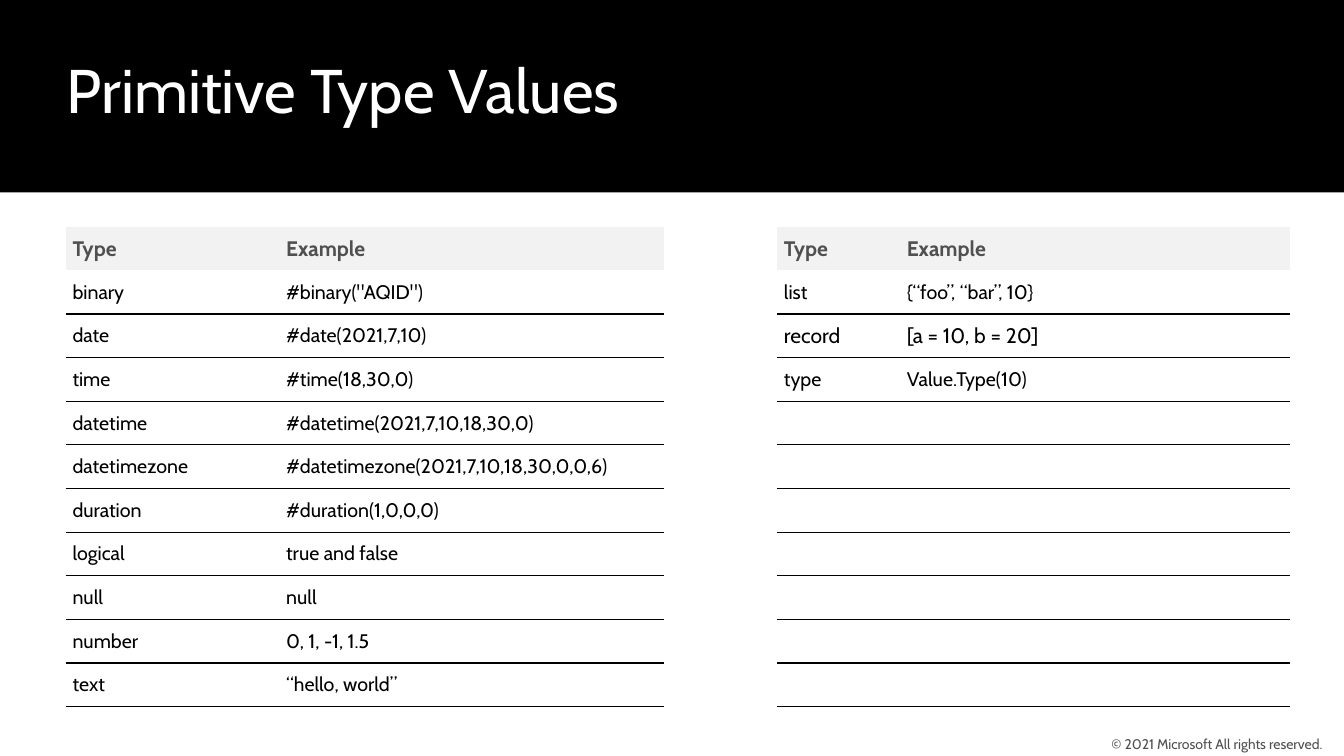
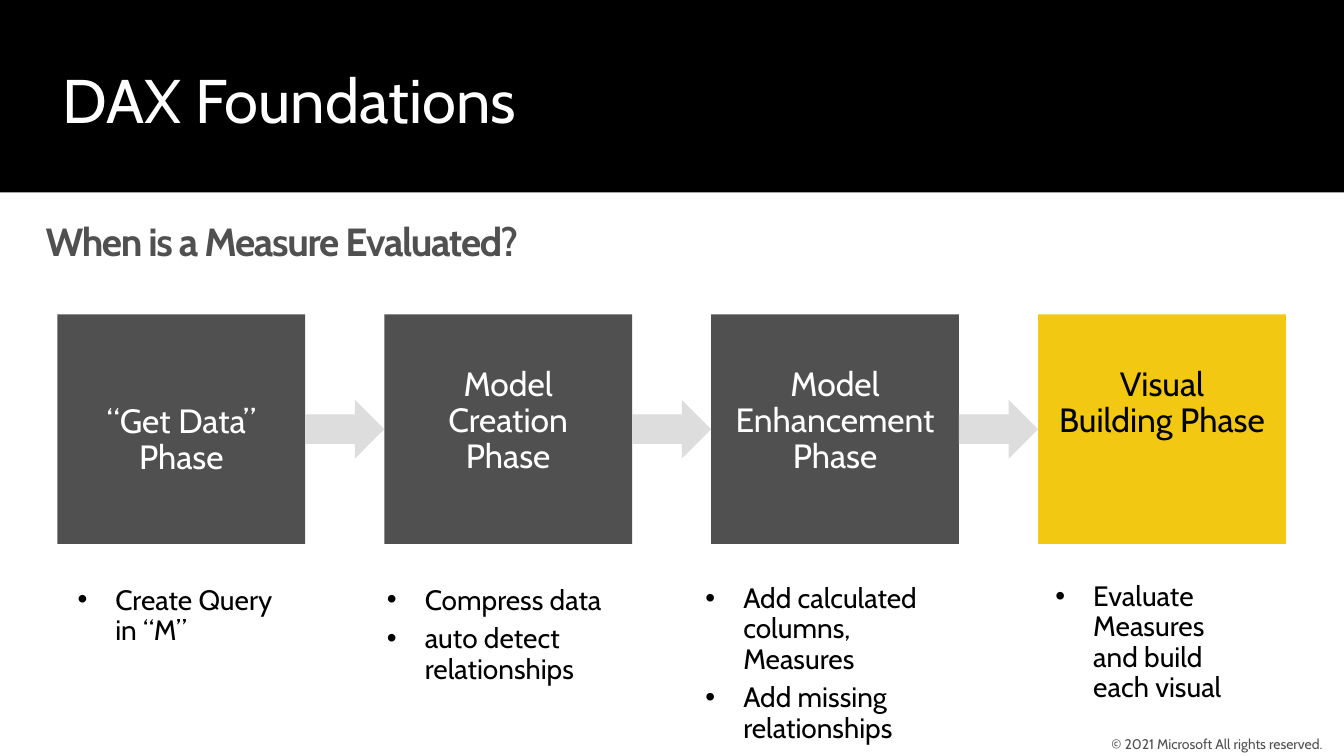
from lxml import etree
from pptx import Presentation
from pptx.dml.color import RGBColor
from pptx.enum import shapes, text
from pptx.oxml import ns
from pptx.util import Pt

FONT = "Cabin"
COLORS = {
    "black": "000000",
    "white": "FFFFFF",
    "gray": "505050",
    "header": "F2F2F2",
    "yellow": "F2C812",
    "arrow": "DDDDDD",
}
SLIDE_WIDTH, SLIDE_HEIGHT = 960, 540
NO_STYLE = "{2D5ABB26-0587-4C30-8999-92F81FD0307C}"
LEFT, CENTER = text.PP_ALIGN.LEFT, text.PP_ALIGN.CENTER
TITLE_INSETS = (11.5, 7.2, 11.5, 7.2)
BODY_INSETS = (14.4, 11.5, 14.4, 11.5)

TYPE_COLUMNS = (152.6, 275, 80.6, 87.8, 278.6)
GAP_COLUMN = 2
LEFT_TYPES = [
    ("Type", "Example"),
    ("binary", '#binary("AQID")'),
    ("date", "#date(2021,7,10)"),
    ("time", "#time(18,30,0)"),
    ("datetime", "#datetime(2021,7,10,18,30,0)"),
    ("datetimezone", "#datetimezone(2021,7,10,18,30,0,0,6)"),
    ("duration", "#duration(1,0,0,0)"),
    ("logical", "true and false"),
    ("null", "null"),
    ("number", "0, 1, -1, 1.5"),
    ("text", "“hello, world”"),
]
RIGHT_TYPES = [
    ("Type", "Example"),
    ("list", "{“foo”, “bar”, 10}"),
    ("record", "[a = 10, b = 20]"),
    ("type", "Value.Type(10)"),
]
LARGE_CELLS = {"record", "[a = 10, b = 20]"}

PHASES = [
    (["“Get Data” Phase"], 2, "gray", "white"),
    (["Model Creation Phase"], 1, "gray", "white"),
    (["Model", "Enhancement", "Phase"], 1, "gray", "white"),
    (["Visual", "Building Phase"], 1, "yellow", "black"),
]
PHASE_NOTES = [
    ((41, 407, 177, 67), ["Create Query in “M”"]),
    ((262, 407, 189.5, 95), ["Compress data", "auto detect relationships"]),
    ((489.5, 406, 195, 133), ["Add calculated columns, Measures", "Add missing relationships"]),
    ((739.5, 404.5, 169, 110), ["Evaluate Measures and build each visual"]),
]


def color(name):
    return RGBColor.from_string(COLORS[name])


def points(box):
    return [Pt(value) for value in box]


def set_insets(target, insets):
    (target.margin_left, target.margin_top,
     target.margin_right, target.margin_bottom) = points(insets)


def add_run(paragraph, words, size, color_name, bold=False):
    run = paragraph.add_run()
    run.text = words
    run.font.name = FONT
    run.font.size = Pt(size)
    run.font.bold = bold
    run.font.color.rgb = color(color_name)
    return run


def write(frame, lines, size, color_name, insets, align=LEFT, spacing=None,
          after=0, bullet=False, bold=False, anchor=text.MSO_ANCHOR.TOP):
    frame.word_wrap = True
    frame.auto_size = text.MSO_AUTO_SIZE.NONE
    frame.vertical_anchor = anchor
    set_insets(frame, insets)
    for index, line in enumerate(lines):
        paragraph = frame.add_paragraph() if index else frame.paragraphs[0]
        if bullet:
            add_bullet(paragraph)
        paragraph.alignment = align
        paragraph.line_spacing = spacing
        paragraph.space_after = Pt(after)
        add_run(paragraph, line, size, color_name, bold)


def add_bullet(paragraph):
    properties = paragraph._p.get_or_add_pPr()
    properties.set("marL", str(Pt(27)))
    properties.set("indent", str(-Pt(27)))
    etree.SubElement(properties, ns.qn("a:buFont"), typeface="Arial")
    etree.SubElement(properties, ns.qn("a:buChar"), char="•")


def add_block(slide, kind, box, fill):
    shape = slide.shapes.add_shape(kind, *points(box))
    shape.shadow.inherit = False
    shape.fill.solid()
    shape.fill.fore_color.rgb = color(fill)
    shape.line.fill.background()
    return shape


def add_text(slide, box, lines, size, color_name, insets, **style):
    shape = slide.shapes.add_textbox(*points(box))
    write(shape.text_frame, lines, size, color_name, insets, **style)


def place_title(slide, box, words, size, color_name, **style):
    title = slide.shapes.title
    title.left, title.top, title.width, title.height = points(box)
    write(title.text_frame, [words], size, color_name, TITLE_INSETS, **style)
    return title


def decorate_layout(layout, slide):
    for placeholder in list(layout.placeholders):
        if placeholder.placeholder_format.type != shapes.PP_PLACEHOLDER.TITLE:
            placeholder.element.getparent().remove(placeholder.element)
    add_block(slide, shapes.MSO_SHAPE.RECTANGLE, (0, 0, SLIDE_WIDTH, 137.5), "black")
    add_text(slide, (785.5, 522.5, 174.5, 17.5), ["© 2021 Microsoft All rights reserved."],
             10, "gray", (0, 0, 7.2, 0), align=CENTER, anchor=text.MSO_ANCHOR.MIDDLE)
    for shape in list(slide.shapes)[1:]:
        layout.shapes.element.append(shape.element)


def underline_cell(cell):
    line = etree.Element(ns.qn("a:lnB"), w=str(Pt(1)))
    fill = etree.SubElement(line, ns.qn("a:solidFill"))
    etree.SubElement(fill, ns.qn("a:srgbClr"), val=COLORS["black"])
    cell._tc.get_or_add_tcPr().insert(0, line)


def fill_cell(cell, words, is_header, is_gap):
    set_insets(cell, (5, 6, 5, 6))
    cell.vertical_anchor = text.MSO_ANCHOR.MIDDLE
    if is_gap:
        cell.fill.background()
    else:
        cell.fill.solid()
        cell.fill.fore_color.rgb = color("header" if is_header else "white")
        if not is_header:
            underline_cell(cell)
    paragraph = cell.text_frame.paragraphs[0]
    if words:
        size = 15 if is_header or words in LARGE_CELLS else 14
        add_run(paragraph, words, size, "gray" if is_header else "black", is_header)
    else:
        etree.SubElement(paragraph._p, ns.qn("a:endParaRPr"), sz="1400")


def add_type_table(slide, left, top, height):
    row_count = len(LEFT_TYPES)
    box = (left, top, sum(TYPE_COLUMNS), height)
    table = slide.shapes.add_table(row_count, len(TYPE_COLUMNS), *points(box)).table
    table.first_row = table.horz_banding = False
    table._tbl.tblPr.find(ns.qn("a:tableStyleId")).text = NO_STYLE
    for column, width in zip(table.columns, TYPE_COLUMNS):
        column.width = Pt(width)
    right_types = RIGHT_TYPES + [("", "")] * (row_count - len(RIGHT_TYPES))
    for row, (left_pair, right_pair) in enumerate(zip(LEFT_TYPES, right_types)):
        table.rows[row].height = Pt(height / row_count)
        for column, words in enumerate((*left_pair, "", *right_pair)):
            fill_cell(table.cell(row, column), words, row == 0, column == GAP_COLUMN)


def add_phases(slide, left, top, width, height, gap):
    line_height = 26.25
    arrow_height = 42
    for index, (lines, skipped_lines, fill, font_color) in enumerate(PHASES):
        phase_left = left + index * (width + gap)
        phase = add_block(slide, shapes.MSO_SHAPE.RECTANGLE,
                          (phase_left, top, width, height), fill)
        side, inset, _, bottom = BODY_INSETS
        insets = (side, inset + skipped_lines * line_height, side, bottom)
        write(phase.text_frame, lines, 24, font_color, insets, align=CENTER, spacing=0.9)
        if index < len(PHASES) - 1:
            arrow_top = top + (height - arrow_height) / 2
            add_block(slide, shapes.MSO_SHAPE.RIGHT_ARROW,
                      (phase_left + width, arrow_top, gap, arrow_height), "arrow")


def build_types_slide(slide):
    place_title(slide, (36, 30, 885, 55), "Primitive Type Values", 44, "white")
    add_type_table(slide, 46.8, 162, 342.7)


def build_phases_slide(slide):
    add_text(slide, (37.5, 41, 808, 60.5), ["DAX Foundations"], 44, "white",
             (7.2, 3.6, 7.2, 3.6))
    heading = place_title(slide, (21, 152, 918, 41), "When is a Measure Evaluated?",
                          28, "gray", bold=True, spacing=0.9)
    heading.text_frame.paragraphs[0].runs[0].font._element.set("spc", "-100")
    add_phases(slide, 41, 224.6, 177, 164, 56.5)
    for box, lines in PHASE_NOTES:
        add_text(slide, box, lines, 20, "black", BODY_INSETS,
                 spacing=0.9, after=6, bullet=True)


def main():
    presentation = Presentation()
    presentation.slide_width = Pt(SLIDE_WIDTH)
    presentation.slide_height = Pt(SLIDE_HEIGHT)
    layout = presentation.slide_layouts[5]
    types_slide = presentation.slides.add_slide(layout)
    decorate_layout(layout, types_slide)
    build_types_slide(types_slide)
    build_phases_slide(presentation.slides.add_slide(layout))
    presentation.save("out.pptx")


if __name__ == "__main__":
    main()
